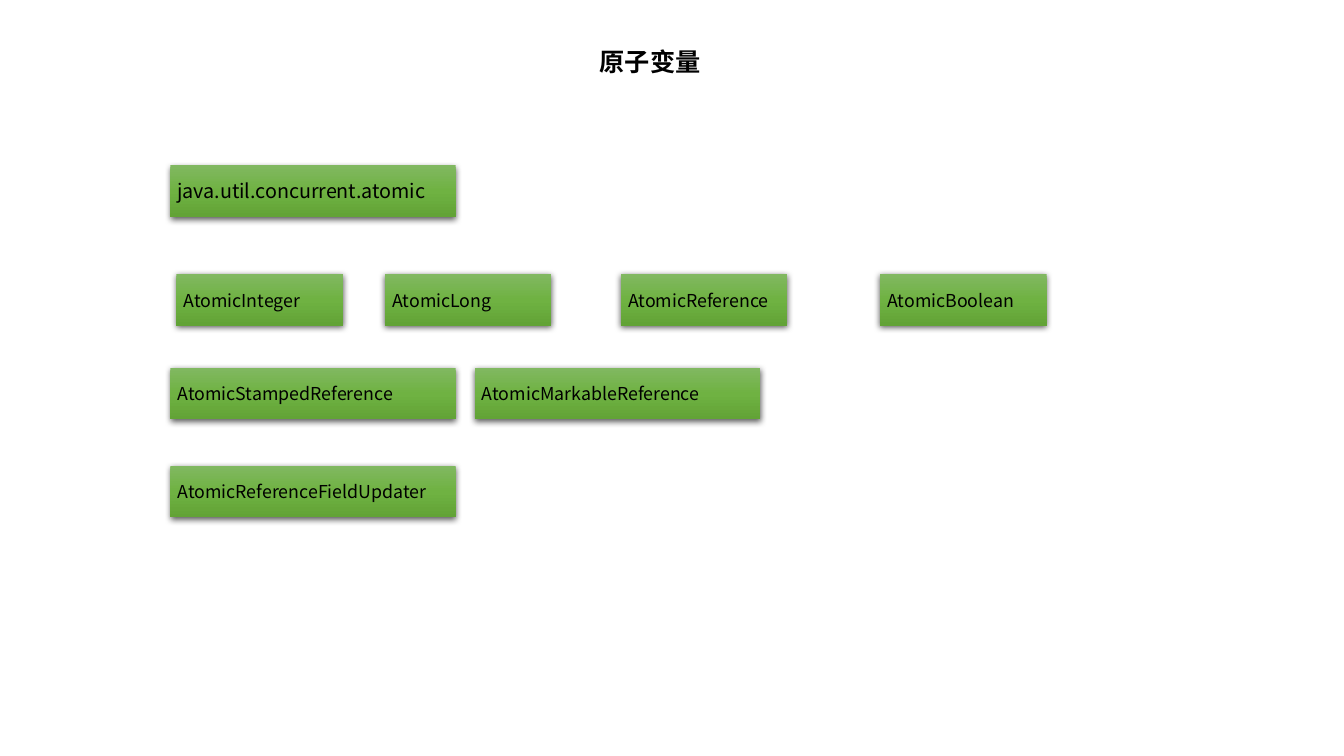
from lxml.etree import SubElement
from pptx import Presentation
from pptx.dml.color import RGBColor
from pptx.enum.shapes import MSO_SHAPE
from pptx.enum.text import MSO_ANCHOR, MSO_AUTO_SIZE, PP_ALIGN
from pptx.oxml import parse_xml
from pptx.oxml.ns import nsdecls, qn
from pptx.util import Inches, Pt

COLOURS = {
    "text": "000000",
    "shadow": "000000",
    "green_top": "81B861",
    "green_middle": "6FB242",
    "green_bottom": "62A336",
}
TITLE_FONT = "Calibri"
BODY_FONT = "Noto Sans CJK SC"
BOX_HEIGHT = 0.51
WIDE, NARROW = 2.83, 1.65

# Each row: top, box width, text size, then (left, label) for its boxes
CLASS_ROWS = [
    (1.64, WIDE, 14.1, [(1.69, "java.util.concurrent.atomic")]),
    (2.72, NARROW, 12.7, [(1.75, "AtomicInteger"), (3.82, "AtomicLong"),
                          (6.16, "AtomicReference"), (8.73, "AtomicBoolean")]),
    (3.65, WIDE, 12.7, [(1.69, "AtomicStampedReference"),
                        (4.71, "AtomicMarkableReference")]),
    (4.62, WIDE, 12.7, [(1.69, "AtomicReferenceFieldUpdater")]),
]


def write_text(frame, text, size, font, bold=False):
    frame.text = text
    para = frame.paragraphs[0]
    para.alignment = PP_ALIGN.LEFT
    span = para.runs[0]
    span.font.size = Pt(size)
    span.font.bold = bold
    span.font.name = font
    span.font.color.rgb = RGBColor.from_string(COLOURS["text"])
    east_asian = SubElement(span.font._element, qn("a:ea"))
    east_asian.set("typeface", BODY_FONT)


def style_green(box):
    """Give the box a vertical green gradient, no outline and a soft shadow."""
    box.line.fill.background()
    properties = box._element.spPr
    names = ("green_top", "green_middle", "green_bottom")
    stops = "".join(
        f'<a:gs pos="{index * 50000}"><a:srgbClr val="{COLOURS[name]}"/></a:gs>'
        for index, name in enumerate(names))
    properties.find(qn("a:ln")).addprevious(parse_xml(
        f'<a:gradFill {nsdecls("a")} rotWithShape="1"><a:gsLst>{stops}</a:gsLst>'
        '<a:lin ang="5400000" scaled="0"/></a:gradFill>'))
    properties.append(parse_xml(
        f'<a:effectLst {nsdecls("a")}><a:outerShdw blurRad="{Pt(4.5)}" '
        f'dist="{Pt(1.5)}" dir="5400000" algn="ctr" rotWithShape="0">'
        f'<a:srgbClr val="{COLOURS["shadow"]}"><a:alpha val="63000"/></a:srgbClr>'
        '</a:outerShdw></a:effectLst>'))


def add_title(page, left, top, width, height):
    box = page.shapes.add_textbox(*map(Inches, (left, top, width, height)))
    frame = box.text_frame
    frame.word_wrap = False
    frame.auto_size = MSO_AUTO_SIZE.SHAPE_TO_FIT_TEXT
    write_text(frame, "原子变量", 18, TITLE_FONT, bold=True)


def add_class_box(page, left, top, width, label, size):
    box = page.shapes.add_shape(
        MSO_SHAPE.RECTANGLE, *map(Inches, (left, top, width, BOX_HEIGHT)))
    style_green(box)
    frame = box.text_frame
    frame.word_wrap = True
    frame.auto_size = MSO_AUTO_SIZE.SHAPE_TO_FIT_TEXT
    frame.vertical_anchor = MSO_ANCHOR.MIDDLE
    frame.margin_left = frame.margin_right = Inches(0.07)
    frame.margin_top = frame.margin_bottom = Inches(0.04)
    write_text(frame, label, size, BODY_FONT)


def add_class_row(page, top, width, size, boxes):
    for left, label in boxes:
        add_class_box(page, left, top, width, label, size)


def main():
    deck = Presentation()
    deck.slide_width, deck.slide_height = Inches(13.33), Inches(7.5)
    page = deck.slides.add_slide(deck.slide_layouts[6])
    add_title(page, 5.85, 0.41, 1.22, 0.4)
    for row in CLASS_ROWS:
        add_class_row(page, *row)
    deck.save("out.pptx")


if __name__ == "__main__":
    main()
